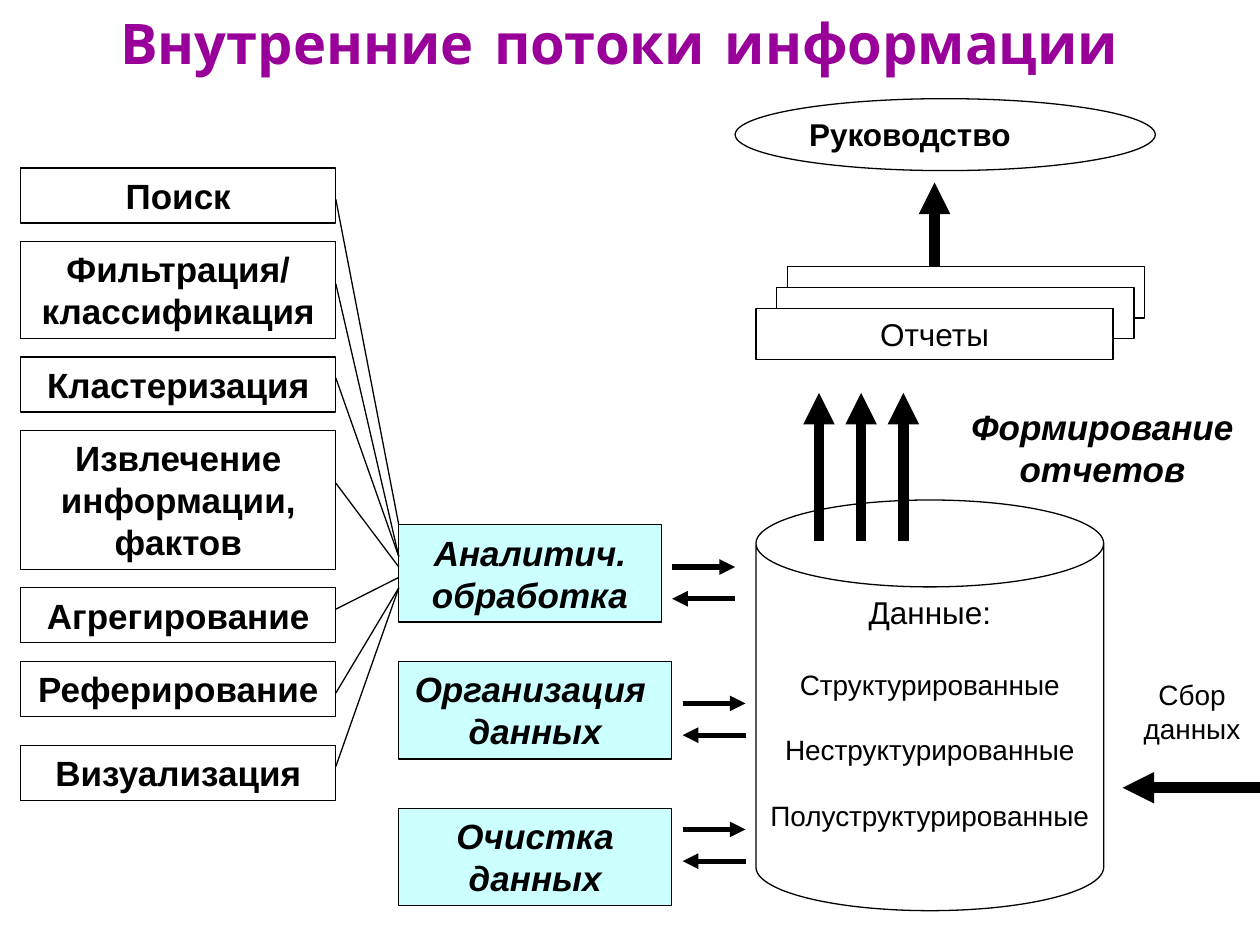
from pptx import Presentation
from pptx.dml.color import RGBColor
from pptx.enum.shapes import MSO_CONNECTOR, MSO_SHAPE
from pptx.enum.text import MSO_ANCHOR, PP_ALIGN
from pptx.oxml.ns import qn
from pptx.util import Cm, Pt
from lxml.etree import SubElement


def color(code):
    return RGBColor.from_string(code)


class Board:
    font = "Arial"
    ink = "000000"
    thin = 0.74

    def __init__(self, slide):
        self.slide = slide

    def fill_text(self, shape, text, size, bold=False, slant=False, tint=ink,
                  font=font, align=PP_ALIGN.CENTER, anchor=MSO_ANCHOR.TOP):
        frame = shape.text_frame
        frame.text = text
        frame.word_wrap = True
        frame.vertical_anchor = anchor
        for para in frame.paragraphs:
            para.alignment = align
            for run in para.runs:
                run.font.name = font
                run.font.size = Pt(size)
                run.font.bold = bold
                run.font.italic = slant
                run.font.color.rgb = color(tint)
        return frame

    def label(self, box, text, size, **style):
        shape = self.slide.shapes.add_textbox(*map(Cm, box))
        return self.fill_text(shape, text, size, **style)

    def block(self, box, text="", size=18, kind=MSO_SHAPE.RECTANGLE,
              fill=None, **style):
        shape = self.slide.shapes.add_shape(kind, *map(Cm, box))
        shape.shadow.inherit = False
        if fill:
            shape.fill.solid()
            shape.fill.fore_color.rgb = color(fill)
        else:
            shape.fill.background()
        shape.line.color.rgb = color(self.ink)
        shape.line.width = Pt(self.thin)
        if text:
            return self.fill_text(shape, text, size, **style)

    def line(self, x1, y1, x2, y2, width=thin, arrow=False):
        link = self.slide.shapes.add_connector(
            MSO_CONNECTOR.STRAIGHT, Cm(x1), Cm(y1), Cm(x2), Cm(y2))
        link.line.color.rgb = color(self.ink)
        link.line.width = Pt(width)
        props = link._element.spPr
        if arrow:
            SubElement(props.find(qn("a:ln")), qn("a:tailEnd"),
                       type="triangle")
        SubElement(props, qn("a:effectLst"))


deck = Presentation()
deck.slide_width, deck.slide_height = Cm(25.4), Cm(19.05)
board = Board(deck.slides.add_slide(deck.slide_layouts[6]))

# Title
board.label((1.06, 0, 22.86, 1.69), "Внутренние потоки информации", 32,
            bold=True, tint="990099", font="Comic Neue",
            anchor=MSO_ANCHOR.MIDDLE)

# Management and the stack of reports
board.block((14.82, 1.99, 8.47, 1.45), "Руководство",
            kind=MSO_SHAPE.OVAL, bold=True, align=PP_ALIGN.LEFT)
sheets = [(15.88, None, ""), (15.66, "FFFFFF", ""),
          (15.24, "FFFFFF", "Отчеты")]
for i, (left, fill, text) in enumerate(sheets):
    board.block((left, 5.38 + 0.42 * i, 7.2, 1.03), text, fill=fill)
board.line(18.84, 5.38, 18.84, 3.68, 6, True)

# Data store
store = board.block((15.24, 10.08, 7.01, 8.28),
                    "Данные:\nСтруктурированные\nНеструктурированные\n"
                    "Полуструктурированные", 16, kind=MSO_SHAPE.CAN)
head, *kinds = store.paragraphs
head.runs[0].font.size = Pt(18)
for para in kinds:
    para.space_before = Pt(18.4)
kinds[0].space_before = Pt(20.7)

# Report building and data collection
board.label((19.05, 8.05, 6.35, 1.96), "Формирование\vотчетов", 20,
            bold=True, slant=True)
for i in range(3):
    x = 16.51 + 0.85 * i
    board.line(x, 10.9, x, 7.92, 6, True)
board.label((22.66, 13.54, 2.74, 1.63), "Сбор данных", 16)
board.line(25.4, 15.88, 22.63, 15.88, 6, True)

# Processing stages with two-way arrows
stages = [("Аналитич.\vобработка", 10.58, 5.29, 13.55, 11.43),
          ("Организация \vданных", 13.34, 5.5, 13.76, 14.18),
          ("Очистка данных", 16.3, 5.5, 13.76, 16.72)]
for text, top, width, x, y in stages:
    board.block((8.04, top, width, 1.96), text, 20, fill="CCFFFF",
                bold=True, slant=True)
    board.line(x, y, x + 1.27, y, 3, True)
    board.line(x + 1.27, y + 0.64, x, y + 0.64, 3, True)

# Analysis tasks: text, top, height, line start, line end
tasks = [("Поиск", 3.39, 1.11, 4.02, 10.58),
         ("Фильтрация/\vклассификация", 4.87, 1.96, 5.72, 11.22),
         ("Кластеризация", 7.2, 1.11, 7.62, 11.22),
         ("Извлечение информации, фактов", 8.68, 2.8, 9.74, 11.43),
         ("Агрегирование", 11.85, 1.11, 12.28, 11.64),
         ("Реферирование", 13.33, 1.11, 13.97, 11.85),
         ("Визуализация", 15.03, 1.11, 15.45, 11.85)]
for text, top, height, start, end in tasks:
    board.block((0.42, top, 6.35, height), text, 20, bold=True)
    board.line(6.77, start, 8.04, end)

deck.save("out.pptx")
